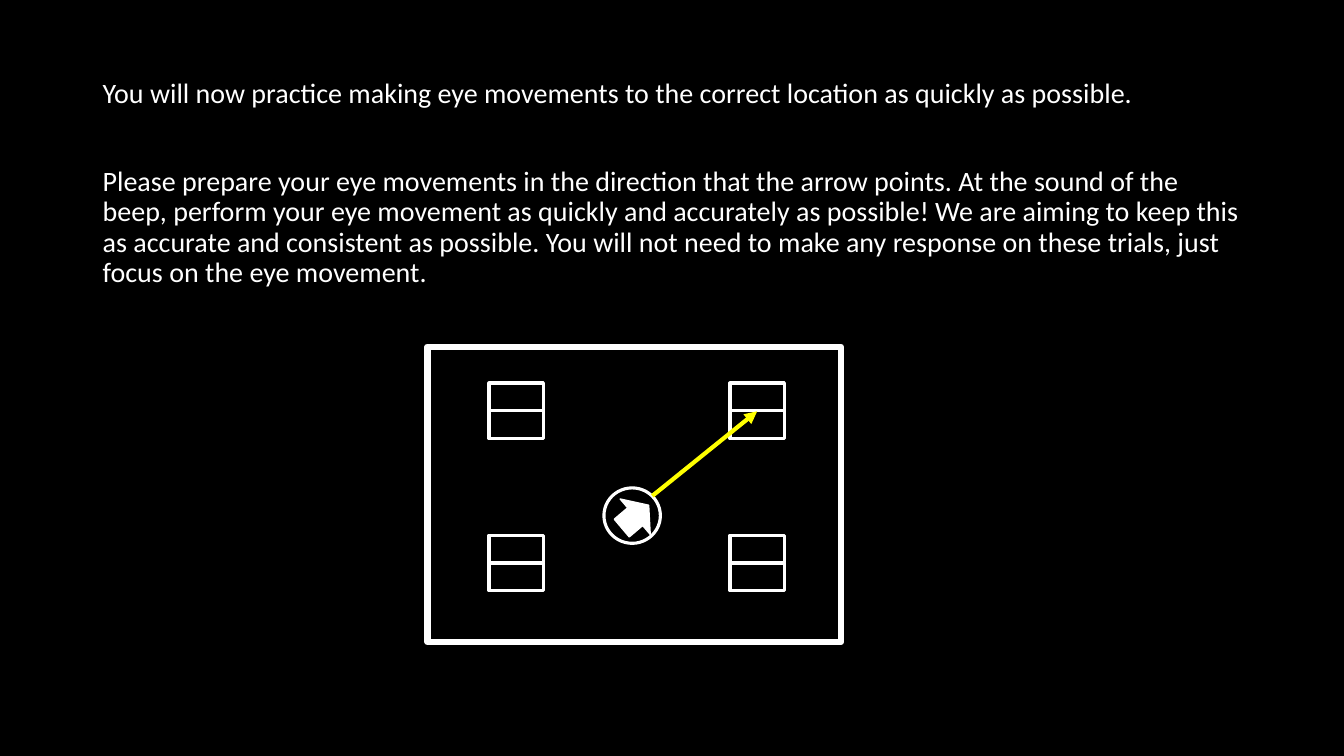
"""Build the eye movement practice instruction slide."""
import dataclasses
import itertools

import pptx
import pptx.dml.color
import pptx.enum.shapes
import pptx.oxml.ns
import pptx.util
from lxml import etree

Inches = pptx.util.Inches
Pt = pptx.util.Pt
RGB = pptx.dml.color.RGBColor
SHAPE = pptx.enum.shapes.MSO_SHAPE


@dataclasses.dataclass(frozen=True)
class Theme:
    """Hold the colours, font and sizes of the slide."""
    background: RGB = RGB(0, 0, 0)
    ink: RGB = RGB(255, 255, 255)
    gaze: RGB = RGB(255, 255, 0)
    font: str = "Calibri"
    body: int = 20
    paragraph_gap: float = 41.2


THEME = Theme()

INSTRUCTIONS = [
    "You will now practice making eye movements to the correct location as quickly as possible.",
    "Please prepare your eye movements in the direction that the arrow points. At the sound of the "
    "beep, perform your eye movement as quickly and accurately as possible! We are aiming to keep "
    "this as accurate and consistent as possible. You will not need to make any response on these "
    "trials, just focus on the eye movement.",
]

TARGET_LEFTS = (4.85, 7.24)
TARGET_TOPS = (3.8, 5.31)
TARGET_WIDTH = 0.54
CELL_HEIGHT = 0.275


def set_all(obj, values):
    """Set each named attribute of an object."""
    for name, value in values.items():
        setattr(obj, name, value)


def add_text(s, box, paragraphs):
    """Add a wrapped text box with spaced paragraphs."""
    tf = s.shapes.add_textbox(*map(Inches, box)).text_frame
    tf.word_wrap = True
    for i, text in enumerate(paragraphs):
        p = tf.paragraphs[0] if i == 0 else tf.add_paragraph()
        set_all(p, {"line_spacing": 0.9, "space_before": Pt(THEME.paragraph_gap if i else 0)})
        r = p.add_run()
        r.text = text
        set_all(r.font, {"name": THEME.font, "size": Pt(THEME.body)})
        r.font.color.rgb = THEME.ink


def add_outline(shapes, kind, box, width, filled=False, rotation=0):
    """Add a white outlined shape, hollow unless filled."""
    sp = shapes.add_shape(kind, *map(Inches, box))
    sp.shadow.inherit = False
    sp.rotation = rotation
    if filled:
        sp.fill.solid()
        sp.fill.fore_color.rgb = THEME.ink
    else:
        sp.fill.background()
    sp.line.color.rgb = THEME.ink
    sp.line.width = Pt(width)


def add_target(s, left, top):
    """Add a target box made of two stacked cells."""
    group = s.shapes.add_group_shape()
    for row in range(2):
        box = (left, top + row * CELL_HEIGHT, TARGET_WIDTH, CELL_HEIGHT)
        add_outline(group.shapes, SHAPE.RECTANGLE, box, 2.25)


def add_arrow(s, start, end, width):
    """Add a straight arrow pointing at its end."""
    straight = pptx.enum.shapes.MSO_CONNECTOR.STRAIGHT
    cx = s.shapes.add_connector(straight, *map(Inches, start + end))
    cx.line.color.rgb = THEME.gaze
    cx.line.width = Pt(width)
    qn = pptx.oxml.ns.qn
    etree.SubElement(cx.line._get_or_add_ln(), qn("a:tailEnd"), type="triangle")
    etree.SubElement(cx._element.spPr, qn("a:effectLst"))


def main():
    """Build and save the slide."""
    prs = pptx.Presentation()
    set_all(prs, {"slide_width": Inches(13.33), "slide_height": Inches(7.5)})
    s = prs.slides.add_slide(prs.slide_layouts[6])
    s.background.fill.solid()
    s.background.fill.fore_color.rgb = THEME.background

    add_text(s, (0.92, 0.74, 11.5, 2.3), INSTRUCTIONS)
    for top, left in itertools.product(TARGET_TOPS, TARGET_LEFTS):
        add_target(s, left, top)
    add_outline(s.shapes, SHAPE.RECTANGLE, (4.24, 3.44, 4.1, 2.93), 4.5)
    add_outline(s.shapes, SHAPE.OVAL, (5.99, 4.84, 0.56, 0.55), 2.25)
    add_outline(s.shapes, SHAPE.DOWN_ARROW, (6.07, 4.95, 0.46, 0.35), 1, True, 229.7)
    add_arrow(s, (6.47, 4.92), (7.51, 4.08), 3)
    prs.save("out.pptx")


if __name__ == "__main__":
    main()
